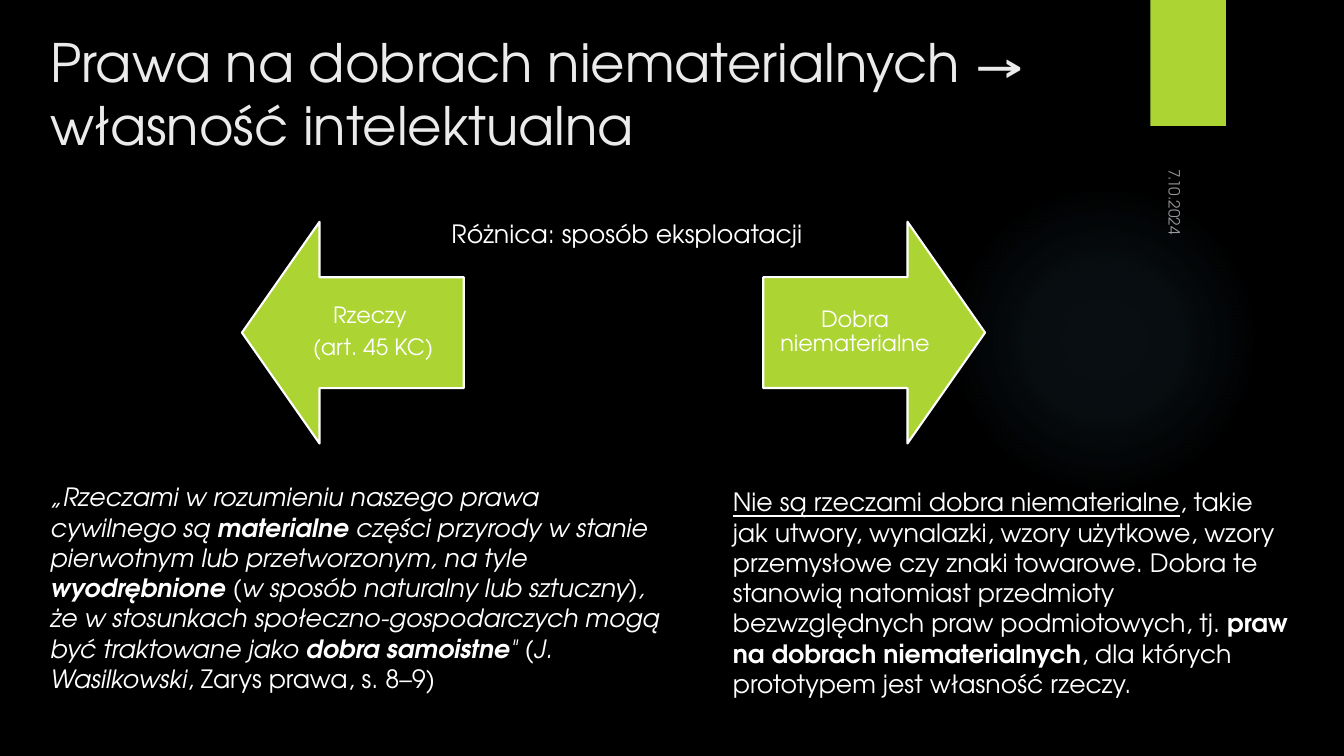
from lxml import etree
from pptx import Presentation
from pptx.dml.color import RGBColor
from pptx.enum.shapes import MSO_SHAPE as Shape
from pptx.enum.text import MSO_ANCHOR as Anchor, PP_ALIGN as Align
from pptx.oxml import parse_xml
from pptx.oxml.ns import nsdecls, qn
from pptx.util import Inches, Pt

FONT = "TeX Gyre Adventor"
COLORS = {"background": "000000", "accent": "ACD433", "title": "EBEBEB",
          "text": "FFFFFF", "glow": "7AC4F0"}

# Runs are (text, style letters): b bold, i italic, u underlined
THINGS_QUOTE = [
    ("„Rzeczami w rozumieniu naszego prawa cywilnego są ", "i"),
    ("materialne", "bi"),
    (" części przyrody w stanie pierwotnym lub przetworzonym, na tyle ", "i"),
    ("wyodrębnione", "bi"),
    (" (w sposób naturalny lub sztuczny), że w stosunkach "
     "społeczno-gospodarczych mogą być traktowane jako ", "i"),
    ("dobra samoistne", "bi"),
    ('" ', "i"),
    ("(", ""),
    ("J. Wasilkowski", "i"),
    (", Zarys prawa, s. 8–9)", ""),
]
INTANGIBLES_NOTE = [
    ("Nie są rzeczami dobra niematerialne", "u"),
    (", takie jak utwory, wynalazki, wzory użytkowe, wzory przemysłowe czy "
     "znaki towarowe. Dobra te stanowią natomiast przedmioty bezwzględnych "
     "praw podmiotowych, tj. ", ""),
    ("praw na dobrach niematerialnych", "b"),
    (", dla których prototypem jest własność rzeczy.", ""),
]


def color(name):
    return RGBColor.from_string(COLORS[name])


def add_text(slide, box, paragraphs, size, color_name="text",
             anchor=Anchor.TOP, align=Align.LEFT, inset=None):
    """Place paragraphs, each a list of styled runs, in the box."""
    area = slide.shapes.add_textbox(*map(Inches, box))
    frame = area.text_frame
    frame.word_wrap = True
    frame.vertical_anchor = anchor
    if inset is not None:
        frame.margin_left = frame.margin_right = Inches(inset)
        frame.margin_top = frame.margin_bottom = Inches(inset)
    for index, runs in enumerate(paragraphs):
        paragraph = frame.add_paragraph() if index else frame.paragraphs[0]
        paragraph.alignment = align
        paragraph.font.name = FONT
        paragraph.font.size = Pt(size)
        paragraph.font.color.rgb = color(color_name)
        for text, style in runs:
            run = paragraph.add_run()
            run.text = text
            if "b" in style:
                run.font.bold = True
            if "i" in style:
                run.font.italic = True
            if "u" in style:
                run.font.underline = True
    return area


def add_solid(slide, kind, box, fill):
    solid = slide.shapes.add_shape(kind, *map(Inches, box))
    solid.shadow.inherit = False
    solid.fill.solid()
    solid.fill.fore_color.rgb = color(fill)
    solid.line.fill.background()
    return solid


def add_backdrop(slide):
    """Black background, soft round glow and the green tab."""
    slide.background.fill.solid()
    slide.background.fill.fore_color.rgb = color("background")

    glow = add_solid(slide, Shape.OVAL, (9.41, 1.83, 3.08, 3.08), "glow")
    stops = "".join(
        f'<a:gs pos="{position * 1000}"><a:srgbClr val="{COLORS["glow"]}">'
        f'<a:alpha val="{alpha * 1000}"/></a:srgbClr></a:gs>'
        for position, alpha in ((0, 7), (36, 6), (69, 0)))
    gradient = parse_xml(
        f'<a:gradFill {nsdecls("a")}><a:gsLst>{stops}</a:gsLst>'
        '<a:path path="circle"><a:fillToRect l="50000" t="50000" r="50000" '
        'b="50000"/></a:path></a:gradFill>')
    properties = glow._element.spPr
    properties.replace(properties.find(qn("a:solidFill")), gradient)

    tab = add_solid(slide, Shape.RECTANGLE, (11.41, 0, 0.75, 1.25), "accent")
    effects = tab._element.spPr.find(qn("a:effectLst"))
    effects.append(parse_xml(
        f'<a:outerShdw {nsdecls("a")} blurRad="{Pt(3)}" dist="{Pt(2)}" '
        'dir="5400000" rotWithShape="0"><a:srgbClr val="000000">'
        '<a:alpha val="45000"/></a:srgbClr></a:outerShdw>'))


def add_date(slide, box):
    date = add_text(slide, box, [[("7.10.2024", "")]], 11, anchor=Anchor.MIDDLE)
    date.rotation = 90
    paragraph = date.text_frame.paragraphs[0]
    paragraph.space_after = Pt(6)
    tint = paragraph._p.pPr.find(".//" + qn("a:srgbClr"))
    etree.SubElement(tint, qn("a:alpha")).set("val", "60000")


def add_arrow(slide, left, top, rotation, label_offset, lines):
    """A sideways block arrow with its label over the shaft."""
    side = 2.2
    arrow = add_solid(slide, Shape.UP_ARROW, (left, top, side, side), "accent")
    arrow.rotation = rotation
    arrow.adjustments[0], arrow.adjustments[1] = 0.5, 0.35
    arrow.line.color.rgb = color("text")
    arrow.line.width = Pt(1.5)
    label = add_text(
        slide, (left + label_offset, top + side / 4, 1.82, side / 2),
        [[(line, "")] for line in lines], 16,
        anchor=Anchor.MIDDLE, align=Align.CENTER, inset=0.12)
    for paragraph in label.text_frame.paragraphs:
        paragraph.line_spacing = 0.9
        paragraph.space_after = Pt(5.6)


def add_comparison(slide):
    """Two opposite arrows, the explanations below and the heading between."""
    add_arrow(slide, 2.4, 2.2, 270, 0.39, ["Rzeczy ", "(art. 45 KC)"])
    add_arrow(slide, 7.57, 2.2, 90, 0, ["Dobra niematerialne"])
    add_text(slide, (0.4, 4.73, 6.32, 1.92), [THINGS_QUOTE], 18)
    add_text(slide, (7.17, 4.78, 5.77, 1.92), [INTANGIBLES_NOTE], 18)
    add_text(slide, (4.38, 2.12, 4.16, 0.4),
             [[("Różnica: sposób eksploatacji", "")]], 18)


def main():
    deck = Presentation()
    deck.slide_width, deck.slide_height = Inches(13.33), Inches(7.5)
    slide = deck.slides.add_slide(deck.slide_layouts[6])
    add_backdrop(slide)
    add_text(slide, (0.4, 0.22, 10, 1.38),
             [[("Prawa na dobrach niematerialnych → własność intelektualna", "")]],
             37.8, "title", Anchor.BOTTOM)
    add_date(slide, (11.11, 1.96, 1.08, 0.33))
    add_comparison(slide)
    deck.save("out.pptx")


if __name__ == "__main__":
    main()
